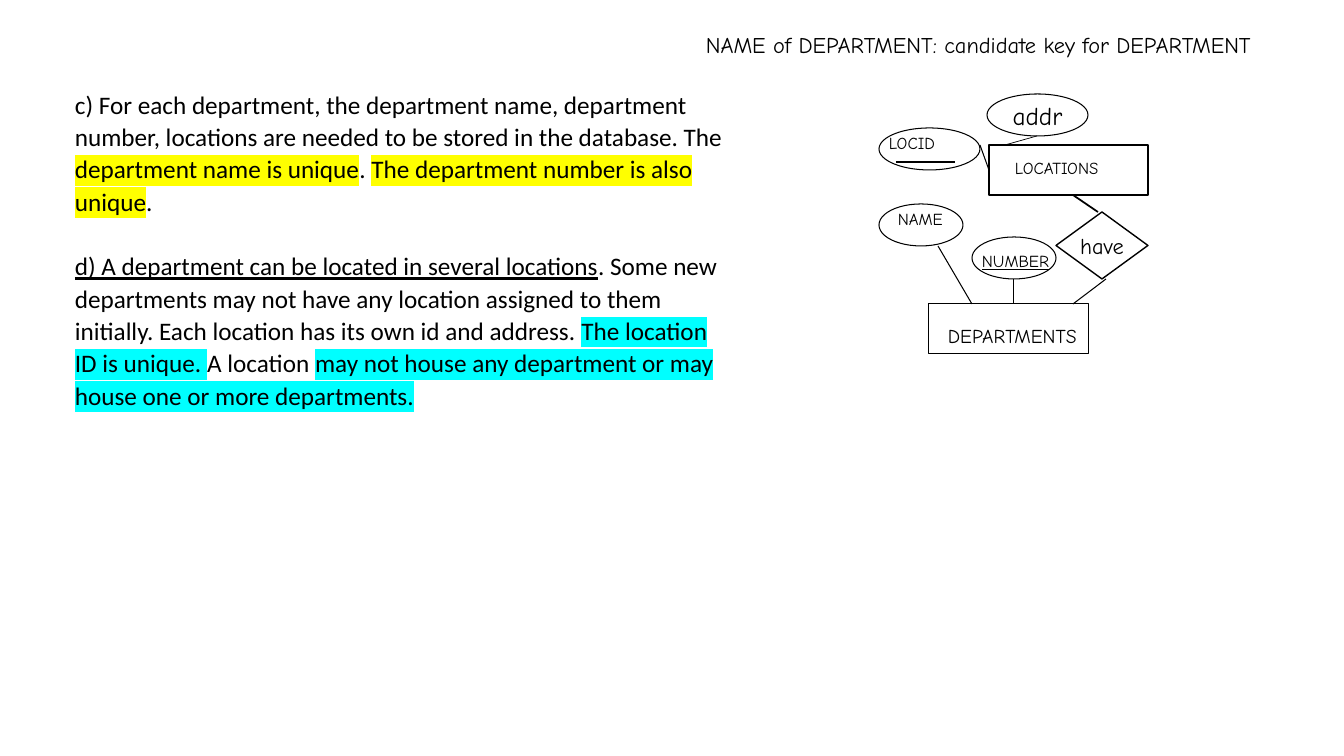
from lxml import etree
from pptx import Presentation
from pptx.dml.color import RGBColor
from pptx.enum.shapes import MSO_CONNECTOR, MSO_SHAPE
from pptx.enum.text import MSO_ANCHOR, PP_ALIGN
from pptx.oxml.ns import qn
from pptx.util import Pt

PIXEL = 914400 / 100.8
STRAIGHT = MSO_CONNECTOR.STRAIGHT
RECTANGLE, ELLIPSE, DIAMOND = MSO_SHAPE.RECTANGLE, MSO_SHAPE.OVAL, MSO_SHAPE.DIAMOND
MIDDLE, CENTER = MSO_ANCHOR.MIDDLE, PP_ALIGN.CENTER
BLACK, YELLOW, CYAN = "000000", "FFFF00", "00FFFF"
LABEL_FONT = "Comic Neue"


def scale(*pixels):
    return [round(value * PIXEL) for value in pixels]


def add_span(para, text, size, font=LABEL_FONT, highlight=None, underline=None):
    span = para.add_run()
    span.text = text
    span.font.color.rgb = RGBColor.from_string(BLACK)
    if highlight:
        mark = etree.SubElement(span.font._element, qn("a:highlight"))
        etree.SubElement(mark, qn("a:srgbClr"), val=highlight)
    values = {"name": font, "size": Pt(size), "underline": underline}
    for name, value in values.items():
        setattr(span.font, name, value)


deck = Presentation()
deck.slide_width, deck.slide_height = scale(1344, 756)
page = deck.slides.add_slide(deck.slide_layouts[6])

# Requirements: text with format values
requirements = [
    [("c) For each department, the department name, department number, "
      "locations are needed to be stored in the database. The ", {}),
     ("department name is unique", {"highlight": YELLOW}),
     (". ", {}),
     ("The department number is also unique", {"highlight": YELLOW}),
     (". ", {})],
    [("d) A department can be located in several locations", {"underline": True}),
     (". Some new departments may not have any location assigned to them "
      "initially. Each location has its own id and address. ", {}),
     ("The location ID is unique. ", {"highlight": CYAN}),
     ("A location ", {}),
     ("may not house any department or may house one or more departments.",
      {"highlight": CYAN})],
]
box = page.shapes.add_textbox(*scale(65, 82, 673, 336))
box.text_frame.word_wrap = True
for index, spans in enumerate(requirements):
    para = box.text_frame.paragraphs[0] if index == 0 else box.text_frame.add_paragraph()
    para.line_spacing = 1.07
    para.space_before = Pt(23 * index)
    for text, values in spans:
        add_span(para, text, 18, "Calibri", **values)

# Entities, attributes and the relationship
nodes = [
    (RECTANGLE, (929, 304, 160, 50), 0.75, "", 0),
    (RECTANGLE, (989, 145, 159, 50), 1, "", 0),
    (ELLIPSE, (879, 204, 84, 42), 0.75, "", 0),
    (ELLIPSE, (972, 237, 84, 42), 0.75, "", 0),
    (ELLIPSE, (879, 128, 101, 42), 0.75, "", 0),
    (ELLIPSE, (987, 94, 101, 42), 0.75, "addr", 18),
    (DIAMOND, (1056, 212, 92, 67), 1, "have", 16),
]
for kind, bounds, width, text, size in nodes:
    node = page.shapes.add_shape(kind, *scale(*bounds))
    node.shadow.inherit = False
    node.fill.background()
    node.line.color.rgb = RGBColor.from_string(BLACK)
    node.line.width = Pt(width)
    if text:
        frame = node.text_frame
        frame.word_wrap = False
        frame.vertical_anchor = MIDDLE
        frame.paragraphs[0].alignment = CENTER
        add_span(frame.paragraphs[0], text, size)

# Heading and labels
labels = [
    ("NAME of DEPARTMENT: candidate key for DEPARTMENT", (696, 26, 644, 37), 16, None),
    ("DEPARTMENTS", (938, 319, 170, 34), 14, None),
    ("LOCATIONS", (1005, 153, 126, 30), 12, None),
    ("NAME", (888, 204, 72, 30), 12, None),
    ("NUMBER", (972, 246, 93, 30), 12, True),
    ("LOCID", (879, 128, 75, 30), 12, None),
]
for text, bounds, size, underline in labels:
    box = page.shapes.add_textbox(*scale(*bounds))
    box.text_frame.word_wrap = True
    add_span(box.text_frame.paragraphs[0], text, size, underline=underline)

# Links between nodes, and the key line under LOCID
links = [
    ((1014, 304, 1014, 279), 0.75),
    ((1073, 304, 1106, 279), 0.75),
    ((972, 304, 938, 246), 0.75),
    ((1098, 212, 1073, 195), 1.25),
    ((980, 145, 989, 170), 0.75),
    ((896, 162, 955, 162), 0.75),
    ((1005, 145, 1037, 136), 0.5),
]
for ends, width in links:
    link = page.shapes.add_connector(STRAIGHT, *scale(*ends))
    link.line.color.rgb = RGBColor.from_string(BLACK)
    link.line.width = Pt(width)
    etree.SubElement(link._element.spPr, qn("a:effectLst"))

deck.save("out.pptx")
